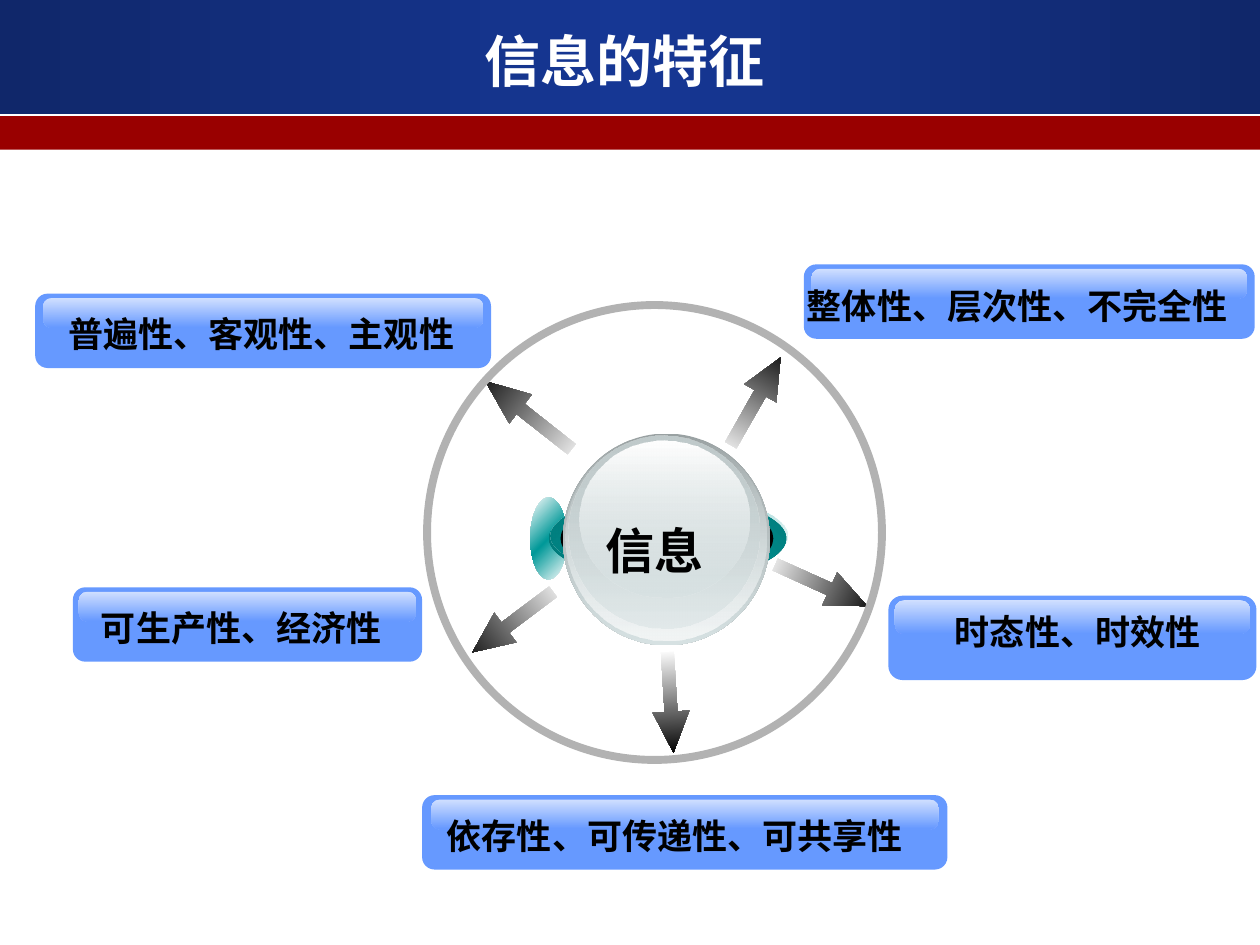
from lxml import etree
from pptx import Presentation
from pptx import util as u
from pptx.dml.color import RGBColor
from pptx.enum import shapes, text
from pptx.oxml import ns

S = shapes.MSO_SHAPE
TITLE = "信息的特征"
HUB = "信息"
LABELS = [
    ("可生产性、经济性", (1.47, 11.84, 7.04, 1.5), (0.71, 12.09, 8.31)),
    ("普遍性、客观性、主观性", (0.71, 5.92, 9.19, 1.5), (1.04, 6.17, 8.46)),
    ("整体性、层次性、不完全性", (6.38 * 2.54, 5.33, 9.09, 1.5), (16.0, 5.59, 9.02)),
    ("时态性、时效性", (17.91, 12.01, 7.42, 1.7), (17.7, 12.17, 8.05)),
    ("依存性、可传递性、可共享性", (8.51, 16.03, 10.59, 1.5), (8.31, 16.28, 10.59)),
]
ARROWS = [
    (14.22, 7.72, 2.03, 299.6),
    (12.5, 13.79, 2.03, 86.5),
    (9.32, 12.17, 2.03, 143.1),
    (15.54, 11.43, 2.03, 24.3),
    (9.55, 8.0, 2.21, 218.2),
]
BALL = [
    ((10.69, 10.03, 0.74, 1.65), [(0, "FFFFFF"), (50, "009999"), (100, "FFFFFF")], 45),
    ((11.07, 10.03, 4.78, 1.65), [(0, "007575"), (50, "009999"), (100, "007575")], 315),
    ((11.1, 9.98, 4.78, 1.65), [(0, "007E7E"), (100, "009999", 0)], 45),
    ((11.3, 10.03, 4.29, 1.65), "000000", 0),
    ((11.35, 8.74, 4.17, 4.27), [(0, "99A1A2"), (100, "D6E1E2")], 90),
    ((11.4, 8.74, 4.06, 4.17), [(0, "D6E1E2", 0), (100, "F2F5F5")], 90),
    ((11.46, 8.79, 3.86, 3.89), [(0, "C1CBCC"), (100, "D6E1E2", 48)], 90),
    ((11.68, 8.89, 3.43, 3.15), [(0, "FFFFFF"), (100, "D6E1E2", 38)], 90),
]
BAND = [(0, "10276A"), (50, "163794"), (100, "10276A")]
GLOSS = [(0, "FFFFFF", 70), (100, "6699FF", 70)]
SHAFT = [(0, "FFFFFF"), (100, "000000")]


def color(value):
    return RGBColor.from_string(value)


def gradient(sp, stops, angle):
    sp.fill.gradient()
    grad = sp.element.spPr.find(ns.qn("a:gradFill"))
    gs_list = grad.find(ns.qn("a:gsLst"))
    for gs in list(gs_list):
        gs_list.remove(gs)
    for pos, rgb, *alpha in stops:
        gs = etree.SubElement(gs_list, ns.qn("a:gs"), pos=str(pos * 1000))
        clr = etree.SubElement(gs, ns.qn("a:srgbClr"), val=rgb)
        for a in alpha:
            etree.SubElement(clr, ns.qn("a:alpha"), val=str(a * 1000))
    grad.find(ns.qn("a:lin")).set("ang", str(angle * 60000))


def add_shape(parent, kind, box, fill=None, angle=0, adj=()):
    sp = parent.shapes.add_shape(kind, *map(u.Cm, box))
    sp.shadow.inherit = False
    sp.line.fill.background()
    for i, value in enumerate(adj):
        sp.adjustments[i] = value
    if fill is None:
        sp.fill.background()
    elif isinstance(fill, str):
        sp.fill.solid()
        sp.fill.fore_color.rgb = color(fill)
    else:
        gradient(sp, fill, angle)
    return sp


def write(sp, words, size, rgb, font="Arial"):
    tf = sp.text_frame
    tf.word_wrap = True
    tf.auto_size = text.MSO_AUTO_SIZE.NONE
    tf.vertical_anchor = text.MSO_ANCHOR.MIDDLE
    tf.margin_left = tf.margin_right = tf.margin_top = tf.margin_bottom = 0
    p = tf.paragraphs[0]
    p.text = words
    p.alignment = text.PP_ALIGN.CENTER
    p.font.name, p.font.size, p.font.bold = font, u.Pt(size), True
    p.font.color.rgb = color(rgb)


def add_text(slide, words, box, size):
    write(slide.shapes.add_textbox(*map(u.Cm, box)), words, size, "000000")


def add_label(slide, words, box, text_box):
    left, top, width, height = box
    group = slide.shapes.add_group_shape()
    add_shape(group, S.ROUNDED_RECTANGLE, box, "6699FF", adj=[0.167])
    gloss = (left + width * 0.0175, top + 0.09, width * 0.965, height * 0.4)
    add_shape(group, S.ROUNDED_RECTANGLE, gloss, GLOSS, 90, [0.284])
    add_text(slide, words, (*text_box, 1.12), 20)


def main():
    prs = Presentation()
    prs.slide_width, prs.slide_height = u.Cm(25.4), u.Cm(19.05)
    slide = prs.slides.add_slide(prs.slide_layouts[5])

    add_shape(slide, S.RECTANGLE, (0, 0, 25.4, 2.31), BAND)
    add_shape(slide, S.RECTANGLE, (0, 2.34, 25.4, 0.68), "990000")
    title = slide.shapes.title
    title.left, title.top, title.width, title.height = map(u.Cm, (0.84, 0.43, 23.5, 1.57))
    write(title, TITLE, 32, "FFFFFF", "DejaVu Sans")
    slide.shapes.element.append(title.element)

    for left, top, width, rotation in ARROWS:
        sp = add_shape(slide, S.RIGHT_ARROW, (left, top, width, 0.74), SHAFT,
                       adj=[0.352, width * 0.55])
        sp.rotation = rotation

    ring = add_shape(slide, S.OVAL, (8.61, 6.15, 9.17, 9.17))
    ring.line.color.rgb = color("B2B2B2")
    ring.line.width = u.Pt(4.5)

    ball = slide.shapes.add_group_shape()
    for box, fill, angle in BALL:
        add_shape(ball, S.OVAL, box, fill, angle)
    add_text(slide, HUB, (11.15, 10.36, 4.09, 1.45), 28)

    for label in LABELS:
        add_label(slide, *label)
    prs.save("out.pptx")


if __name__ == "__main__":
    main()
